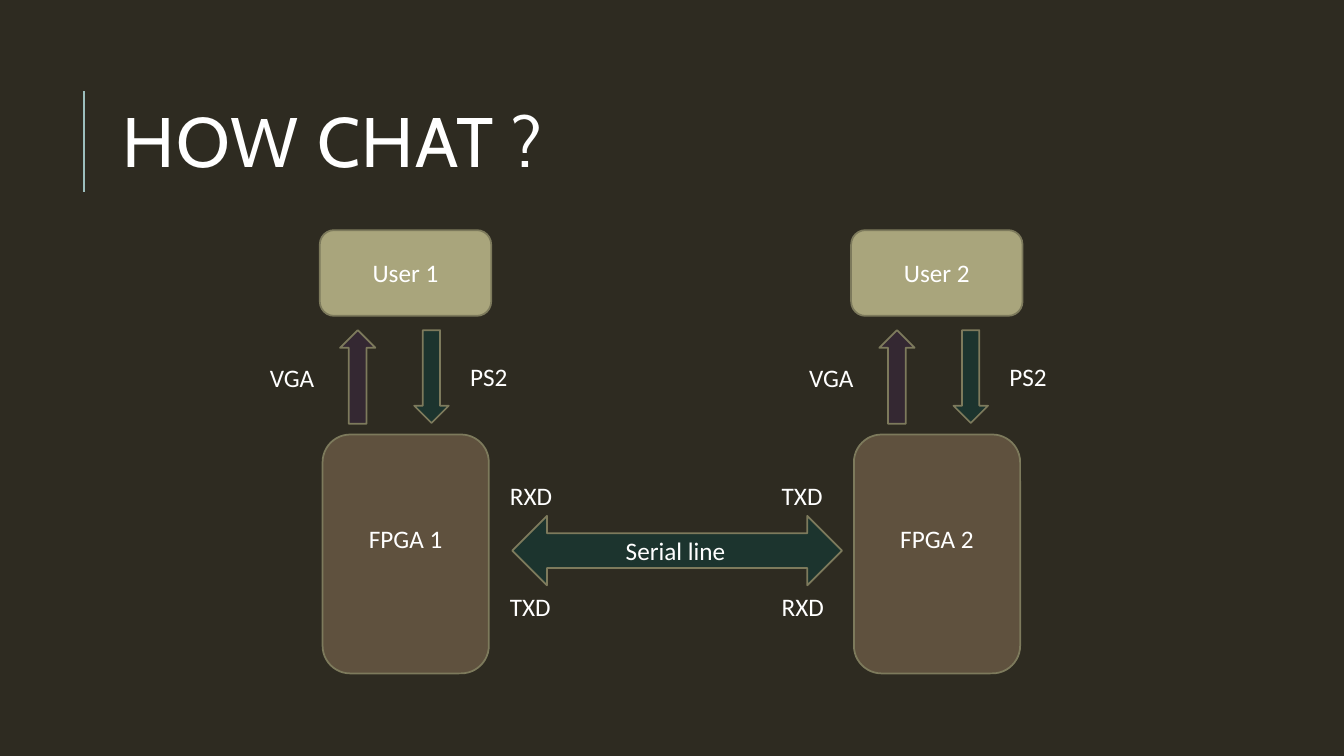
from dataclasses import dataclass, replace

from pptx import Presentation
from pptx.dml.color import RGBColor
from pptx.enum.shapes import MSO_CONNECTOR, MSO_SHAPE as Preset
from pptx.enum.text import MSO_ANCHOR as Anchor, MSO_AUTO_SIZE as AutoSize, PP_ALIGN as Align
from pptx.oxml import parse_xml
from pptx.oxml.ns import nsdecls
from pptx.slide import Slide
from pptx.text.text import TextFrame
from pptx.util import Cm, Pt

COLORS = {
    "background": "2E2B21",
    "text": "FFFFFF",
    "accent": "9CBEBD",
    "outline": "7D7A5C",
    "user": "A9A57C",
    "fpga": "5F513E",
    "vga": "342832",
    "data": "1C342E",
}
BODY_FONT = "Calibri"
TITLE_FONT = "Cabin"
BOX_PITCH = 13.39   # distance between the two users and the two FPGAs, cm
LINK_PITCH = 13.59  # distance between the two sets of VGA and PS2 links, cm


@dataclass(frozen=True)
class Block:
    """A filled preset shape; lengths in centimetres."""
    preset: Preset
    color: str
    left: float
    top: float
    width: float
    height: float
    text: str = ""
    bottom_inset: float = 0.13


@dataclass(frozen=True)
class Label:
    """A one-line caption; lengths in centimetres."""
    text: str
    left: float
    top: float
    width: float


BOXES = [
    Block(Preset.ROUNDED_RECTANGLE, "fpga", 8.13, 10.95, 4.19, 6.02, "FPGA", 0.9),
    Block(Preset.ROUNDED_RECTANGLE, "user", 8.06, 5.8, 4.32, 2.16, "User"),
]
LINK_ARROWS = [
    Block(Preset.UP_ARROW, "vga", 8.57, 8.32, 0.89, 2.36),
    Block(Preset.DOWN_ARROW, "data", 10.44, 8.32, 0.87, 2.34),
]
LINK_LABELS = [Label("VGA", 6.55, 9.0, 1.8), Label("PS2", 11.6, 8.98, 1.55)]
SERIAL_ARROW = Block(Preset.LEFT_RIGHT_ARROW, "data", 12.91, 13.0, 8.31, 1.75)
SERIAL_LABELS = [
    Label("RXD", 12.6, 11.99, 1.6),
    Label("TXD", 12.6, 14.78, 1.6),
    Label("TXD", 19.45, 11.99, 1.6),
    Label("RXD", 19.45, 14.78, 1.6),
    Label("Serial line", 15.52, 13.36, 3.1),
]


def rgb(name: str) -> RGBColor:
    """Look up a palette colour."""
    return RGBColor.from_string(COLORS[name])


def write(frame: TextFrame, text: str, align: Align, size: float = 18,
          font: str = BODY_FONT) -> None:
    """Put one formatted run in the first paragraph."""
    paragraph = frame.paragraphs[0]
    paragraph.alignment = align
    run = paragraph.add_run()
    run.text = text
    run.font.size = Pt(size)
    run.font.name = font
    run.font.color.rgb = rgb("text")


def draw_block(slide: Slide, block: Block) -> None:
    """Draw a filled, outlined shape with its centred text."""
    shape = slide.shapes.add_shape(block.preset, Cm(block.left), Cm(block.top),
                                   Cm(block.width), Cm(block.height))
    shape.shadow.inherit = False
    shape.fill.solid()
    shape.fill.fore_color.rgb = rgb(block.color)
    shape.line.color.rgb = rgb("outline")
    shape.line.width = Pt(1.25)
    if block.text:
        shape.text_frame.vertical_anchor = Anchor.MIDDLE
        shape.text_frame.margin_bottom = Cm(block.bottom_inset)
        write(shape.text_frame, block.text, Align.CENTER)


def draw_label(slide: Slide, label: Label) -> None:
    """Draw an unwrapped caption."""
    box = slide.shapes.add_textbox(Cm(label.left), Cm(label.top), Cm(label.width), Cm(1.02))
    box.text_frame.word_wrap = False
    box.text_frame.auto_size = AutoSize.SHAPE_TO_FIT_TEXT
    write(box.text_frame, label.text, Align.LEFT)


def draw_side(slide: Slide, index: int) -> None:
    """Draw one user, the FPGA below and the links between them."""
    for box in BOXES:
        draw_block(slide, replace(box, left=box.left + index * BOX_PITCH,
                                  text=f"{box.text} {index + 1}"))
    for arrow in LINK_ARROWS:
        draw_block(slide, replace(arrow, left=arrow.left + index * LINK_PITCH))
    for label in LINK_LABELS:
        draw_label(slide, replace(label, left=label.left + index * LINK_PITCH))


def draw_title(slide: Slide, text: str) -> None:
    """Format the title placeholder and draw the rule beside it."""
    rule = slide.shapes.add_connector(MSO_CONNECTOR.STRAIGHT, Cm(2.11), Cm(4.83),
                                      Cm(2.11), Cm(2.29))
    rule.line.color.rgb = rgb("accent")
    rule.line.width = Pt(1.5)
    rule._element.spPr.append(parse_xml(f"<a:effectLst {nsdecls('a')}/>"))

    title = slide.shapes.title
    title.left, title.top, title.width, title.height = Cm(2.84), Cm(1.63), Cm(27), Cm(4.17)
    frame = title.text_frame
    frame.word_wrap = True
    frame.auto_size = AutoSize.NONE
    frame.vertical_anchor = Anchor.MIDDLE
    write(frame, text, Align.LEFT, 50, TITLE_FONT)
    frame.paragraphs[0].line_spacing = 0.8
    frame.paragraphs[0].runs[0].font._element.set("spc", "100")


def main() -> None:
    """Build and save the slide."""
    presentation = Presentation()
    presentation.slide_width = Cm(33.87)
    presentation.slide_height = Cm(19.05)
    slide = presentation.slides.add_slide(presentation.slide_layouts.get_by_name("Title Only"))
    slide.background.fill.solid()
    slide.background.fill.fore_color.rgb = rgb("background")

    draw_title(slide, "HOW CHAT ?")
    for index in range(2):
        draw_side(slide, index)
    draw_block(slide, SERIAL_ARROW)
    for label in SERIAL_LABELS:
        draw_label(slide, label)
    presentation.save("out.pptx")


main()
